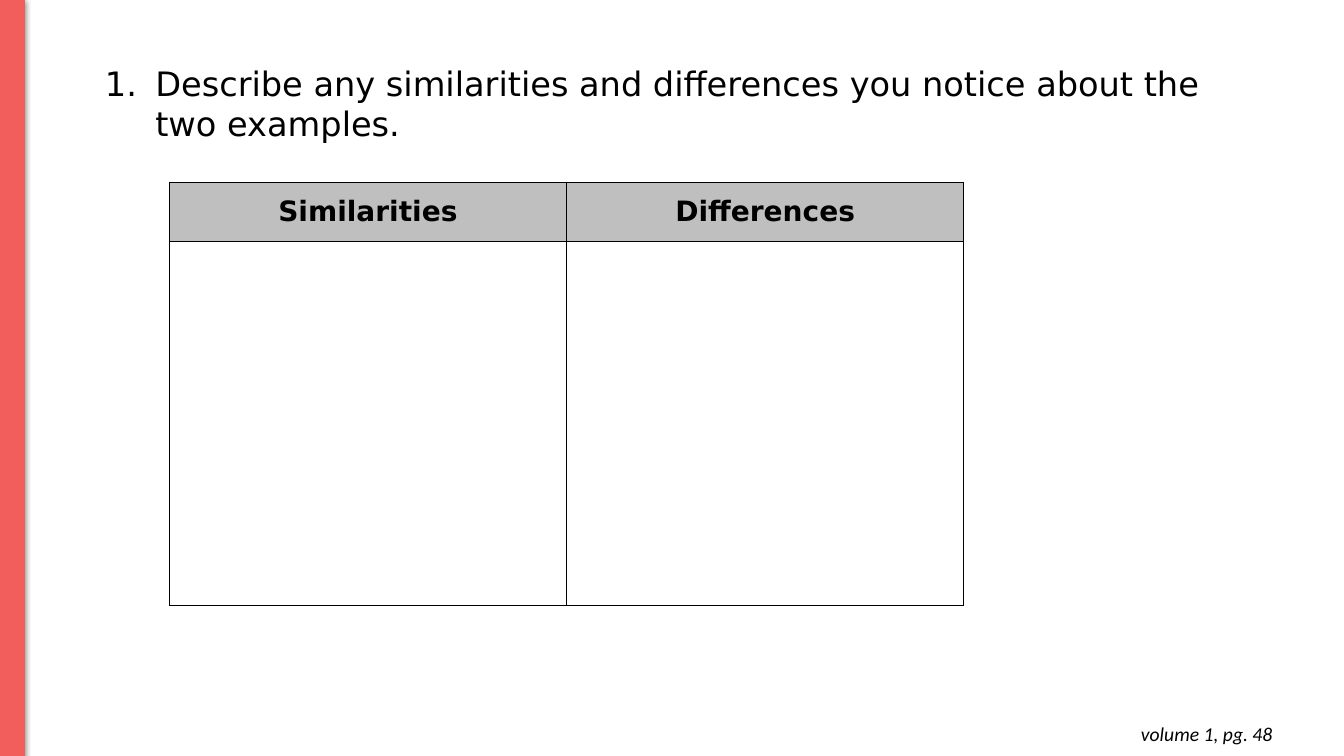
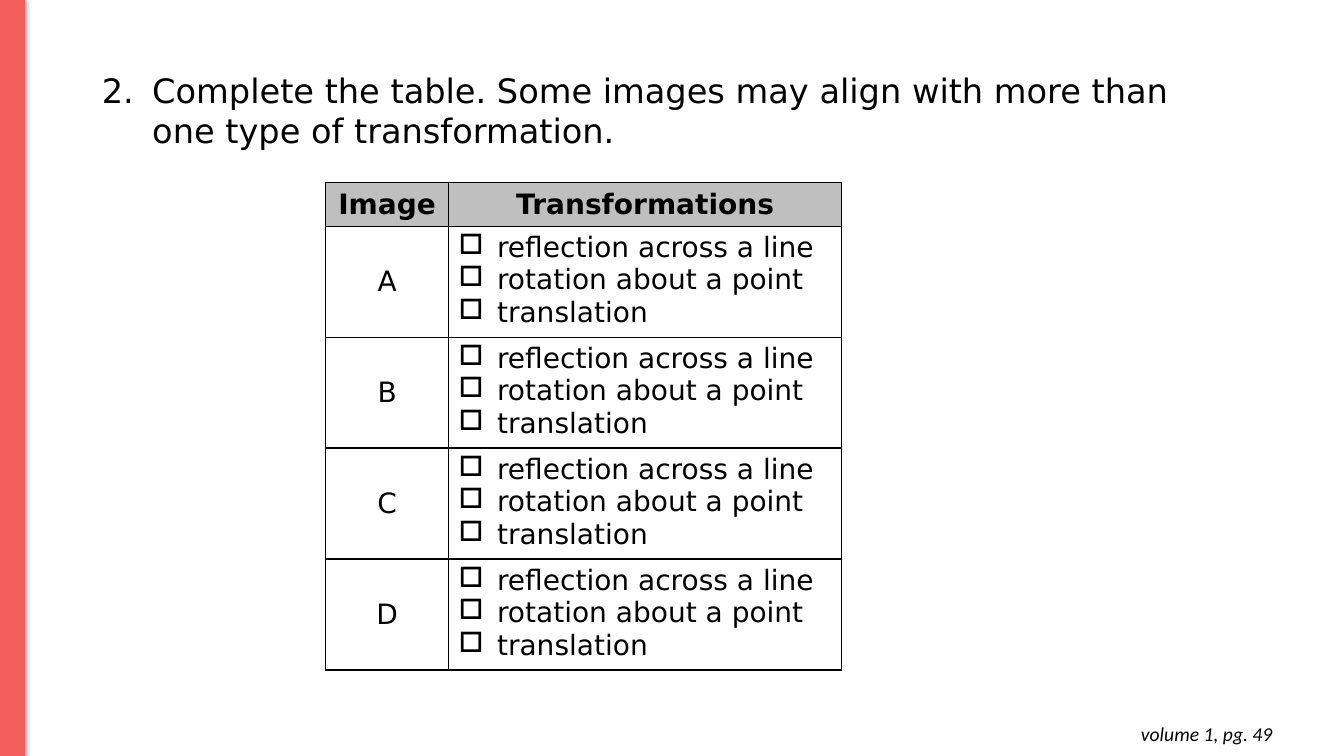
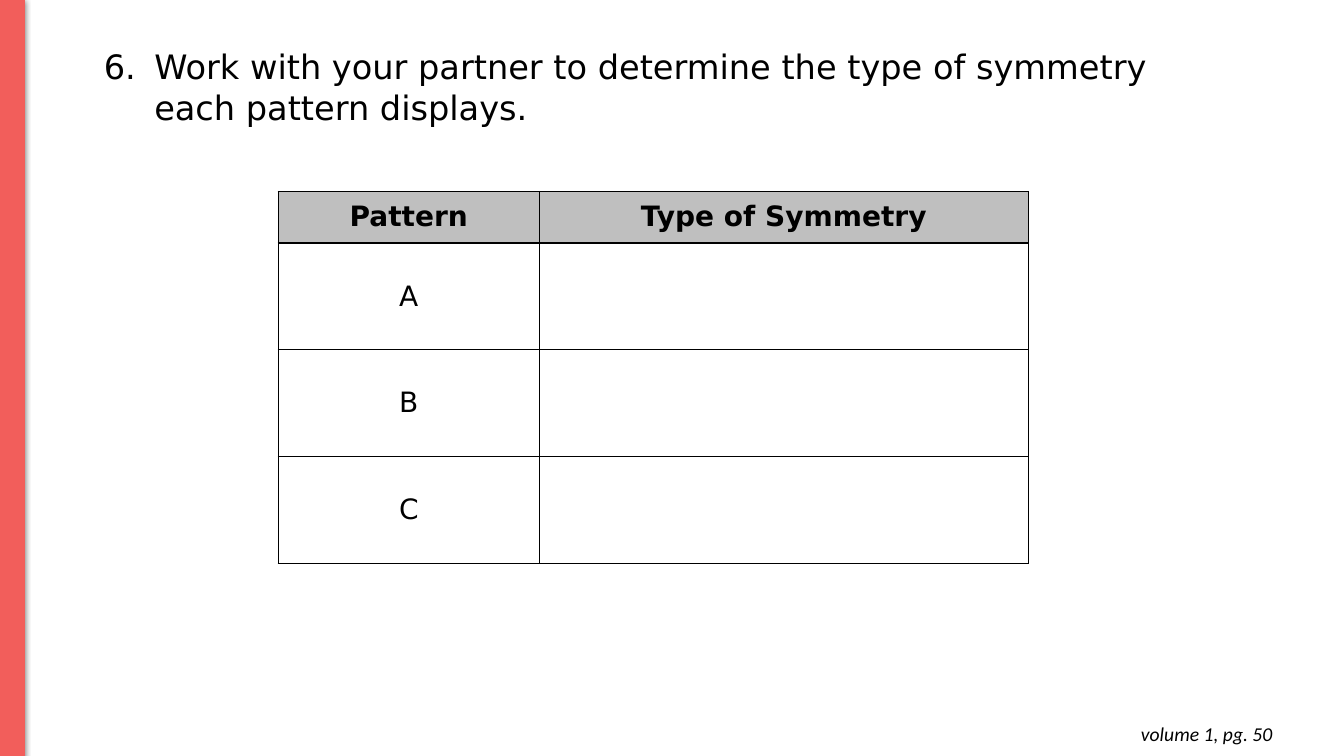
from lxml.etree import SubElement
from pptx import Presentation
from pptx.dml.color import RGBColor
from pptx.enum.shapes import MSO_SHAPE
from pptx.enum.text import MSO_ANCHOR, MSO_AUTO_SIZE, PP_ALIGN
from pptx.oxml.ns import qn
from pptx.util import Inches, Pt

COLORS = {"band": "F25E5B", "text": "000000", "header": "BFBFBF", "border": "000000"}
TEXT_FONT = "DejaVu Sans"
FOOTER_FONT = "Calibri"
TITLE_ONLY = 5
TRANSFORMATIONS = ["reflection across a line", "rotation about a point", "translation"]


def color(name):
    return RGBColor.from_string(COLORS[name])


def add_color(parent, name):
    return SubElement(parent, qn("a:srgbClr"), val=COLORS[name])


def style_font(paragraph, size, font_name=TEXT_FONT, bold=False, italic=False):
    for span in paragraph.runs:
        span.font.name = font_name
        span.font.size = Pt(size)
        span.font.bold = bold
        span.font.italic = italic
        span.font.color.rgb = color("text")


def add_marker(paragraph, indent, tag, **attributes):
    """Give the paragraph a hanging indent and a bullet or number."""
    properties = paragraph._p.get_or_add_pPr()
    properties.set("marL", str(Inches(indent)))
    properties.set("indent", str(-Inches(indent)))
    add_color(SubElement(properties, qn("a:buClr")), "text")
    SubElement(properties, qn(tag), **attributes)


def add_band(page):
    band = page.shapes.add_shape(
        MSO_SHAPE.RECTANGLE, 0, Inches(-0.01), Inches(0.24), Inches(7.51))
    band.fill.solid()
    band.fill.fore_color.rgb = color("band")
    band.line.color.rgb = color("band")
    band.line.width = Pt(0.75)
    band.shadow.inherit = False
    effects = band._element.spPr.find(qn("a:effectLst"))
    shadow = SubElement(effects, qn("a:outerShdw"), blurRad=str(Pt(4.5)),
                        dist=str(Pt(1.5)), dir="5400000", rotWithShape="0")
    SubElement(add_color(shadow, "text"), qn("a:alpha"), val="50000")


def add_footer(page, number):
    box = page.shapes.add_textbox(Inches(9.84), Inches(7.06), Inches(2.88), Inches(0.44))
    frame = box.text_frame
    frame.word_wrap = True
    frame.auto_size = MSO_AUTO_SIZE.SHAPE_TO_FIT_TEXT
    frame.margin_top = frame.margin_bottom = Inches(0.1)
    frame.text = f"volume 1, pg. {number}"
    frame.paragraphs[0].alignment = PP_ALIGN.RIGHT
    style_font(frame.paragraphs[0], 14, FOOTER_FONT, italic=True)


def set_question(page, number, text, left, top):
    title = page.shapes.title
    title.left, title.top = Inches(left), Inches(top)
    title.width, title.height = Inches(11.24), Inches(0.91)
    frame = title.text_frame
    frame.word_wrap = True
    frame.auto_size = MSO_AUTO_SIZE.SHAPE_TO_FIT_TEXT
    frame.vertical_anchor = MSO_ANCHOR.TOP
    frame.text = text
    paragraph = frame.paragraphs[0]
    paragraph.alignment = PP_ALIGN.LEFT
    add_marker(paragraph, 0.5, "a:buAutoNum", type="arabicPeriod", startAt=str(number))
    style_font(paragraph, 24)


def add_borders(cell):
    """Draw the four cell borders; they must precede the cell's fill."""
    properties = cell._tc.get_or_add_tcPr()
    for position, side in enumerate(("a:lnL", "a:lnR", "a:lnT", "a:lnB")):
        line = SubElement(properties, qn(side), w=str(Pt(1)))
        add_color(SubElement(line, qn("a:solidFill")), "border")
        properties.insert(position, line)


def fill_cell(cell, content, is_header):
    """Write a string centred, or a list as checkbox lines."""
    if is_header:
        cell.fill.solid()
        cell.fill.fore_color.rgb = color("header")
    else:
        cell.fill.background()
    add_borders(cell)
    is_list = isinstance(content, list)
    cell.vertical_anchor = MSO_ANCHOR.TOP if is_list else MSO_ANCHOR.MIDDLE
    cell.text_frame.text = "\n".join(content) if is_list else content
    for paragraph in cell.text_frame.paragraphs:
        if is_list:
            add_marker(paragraph, 0.38, "a:buChar", char="□")
        else:
            paragraph.alignment = PP_ALIGN.CENTER
        style_font(paragraph, 20, bold=is_header)


def add_grid(page, left, top, widths, heights, rows):
    frame = page.shapes.add_table(
        len(rows), len(widths), Inches(left), Inches(top),
        Inches(sum(widths)), Inches(sum(heights)))
    table = frame.table
    table.horz_banding = False
    for column, width in zip(table.columns, widths):
        column.width = Inches(width)
    for index, (row, height, contents) in enumerate(zip(table.rows, heights, rows)):
        row.height = Inches(height)
        for cell, content in zip(row.cells, contents):
            fill_cell(cell, content, index == 0)


def add_page(deck, page_number, question, grid):
    page = deck.slides.add_slide(deck.slide_layouts[TITLE_ONLY])
    set_question(page, *question)
    add_band(page)
    add_grid(page, *grid)
    add_footer(page, page_number)


def main():
    deck = Presentation()
    deck.slide_width, deck.slide_height = Inches(13.33), Inches(7.5)
    add_page(
        deck, 48,
        (1, "Describe any similarities and differences you notice about the two examples.",
         0.94, 0.57),
        (1.68, 1.81, [3.94] * 2, [0.59, 3.61],
         [["Similarities", "Differences"], ["", ""]]))
    add_page(
        deck, 49,
        (2, "Complete the table. Some images may align with more than one type of "
            "transformation.", 0.91, 0.64),
        (3.23, 1.81, [1.22, 3.9], [0.43] + [1.1] * 4,
         [["Image", "Transformations"]] + [[letter, TRANSFORMATIONS] for letter in "ABCD"]))
    add_page(
        deck, 50,
        (6, "Work with your partner to determine the type of symmetry each pattern displays.",
         0.93, 0.41),
        (2.76, 1.9, [2.59, 4.85], [0.51] + [1.06] * 3,
         [["Pattern", "Type of Symmetry"]] + [[letter, ""] for letter in "ABC"]))
    deck.save("out.pptx")


if __name__ == "__main__":
    main()
